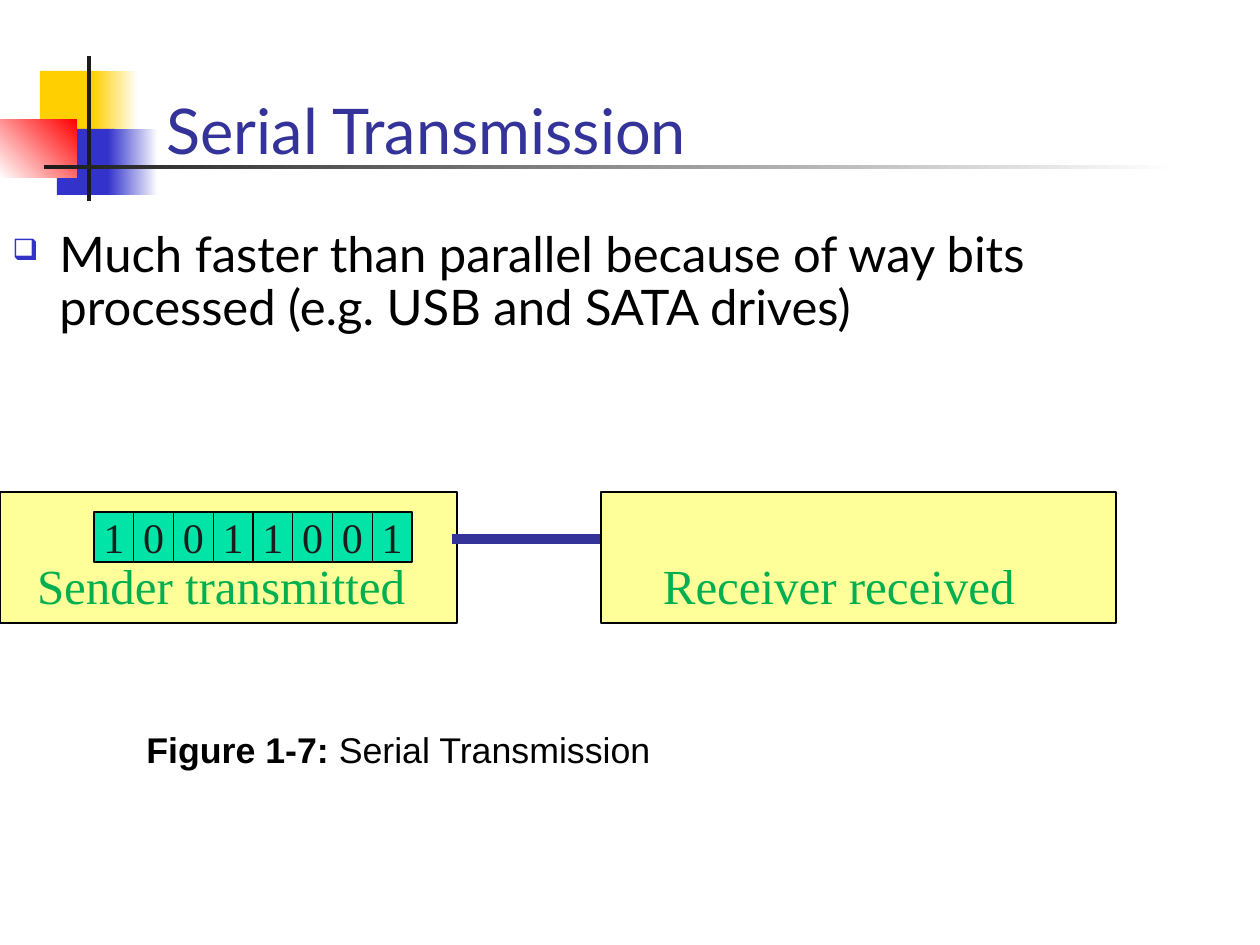
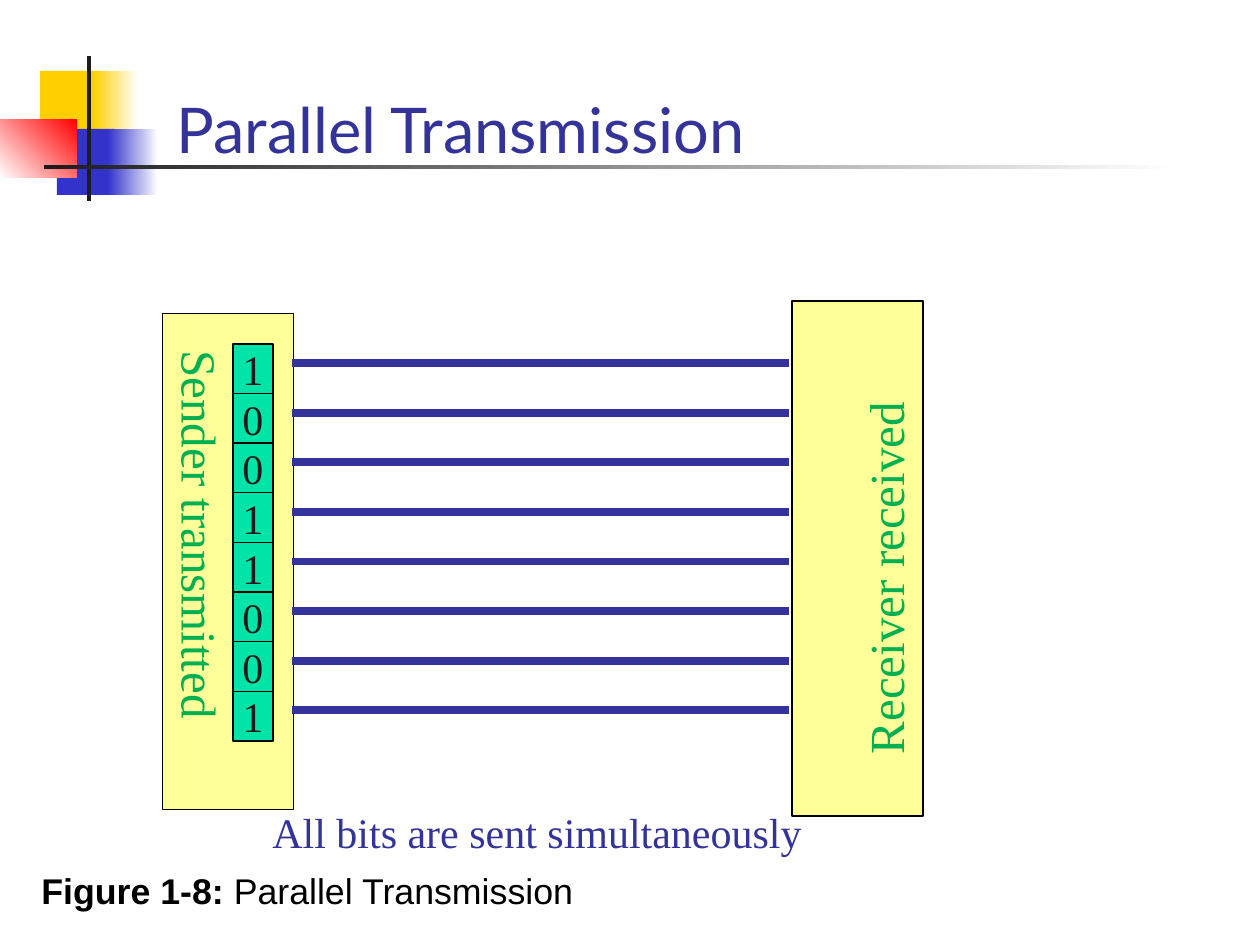
from lxml import etree
from pptx import Presentation
from pptx import util as u
from pptx.dml import color
from pptx.enum import shapes, text
from pptx.oxml import ns

EMU_PER_PX = 914400 / 126
TITLE_ONLY = 5
NAVY, BLUE, YELLOW, RED = "333399", "3333CC", "FFCF01", "FF0000"
WHITE, BLACK, INK = "FFFFFF", "000000", "1C1C1C"
STATION, STATION_TEXT, BIT = "FFFF99", "00B050", "00E4A8"
SERIF, SANS, HEADING = "Times New Roman", "Arial", "Lato"
BITS = "10011001"
ACROSS, DOWN = (1, 0), (0, 1)


def px(length):
    return u.Emu(round(length * EMU_PER_PX))


def rgb(value):
    return color.RGBColor.from_string(value)


def style(paragraph, name, size, colour):
    paragraph.font.name = name
    paragraph.font.size = u.Pt(size)
    paragraph.font.color.rgb = rgb(colour)


def add_rect(slide, box, fill, outline=None):
    shape = slide.shapes.add_shape(shapes.MSO_SHAPE.RECTANGLE, *map(px, box))
    shape.shadow.inherit = False
    shape.fill.solid()
    shape.fill.fore_color.rgb = rgb(fill)
    if outline:
        shape.line.color.rgb = rgb(outline)
        shape.line.width = u.Pt(0.75)
    else:
        shape.line.fill.background()
    return shape


def add_fade(slide, box, start, end, angle=0):
    fill = add_rect(slide, box, start).fill
    fill.gradient()
    fill.gradient_angle = angle
    for stop, colour, position in zip(fill.gradient_stops, (start, end), (0, 1)):
        stop.color.rgb = rgb(colour)
        stop.position = position


def add_text(slide, box):
    frame = slide.shapes.add_textbox(*map(px, box)).text_frame
    frame.word_wrap = True
    return frame.paragraphs[0]


def add_wire(slide, left, right, y, width):
    wire = slide.shapes.add_connector(
        shapes.MSO_CONNECTOR.STRAIGHT, px(left), px(y), px(right), px(y))
    wire.line.color.rgb = rgb(NAVY)
    wire.line.width = u.Pt(width)
    etree.SubElement(wire.element.spPr, ns.qn("a:effectLst"))


def add_ornament(slide):
    add_rect(slide, (40, 71, 61, 66), YELLOW)
    add_fade(slide, (93, 71, 45, 66), YELLOW, WHITE)
    add_rect(slide, (57, 129, 58, 66), BLUE)
    add_fade(slide, (108, 129, 50, 66), BLUE, WHITE)
    add_fade(slide, (0, 119, 77, 59), WHITE, RED, 45)
    add_rect(slide, (87, 56, 4, 145), INK)
    add_fade(slide, (44, 165, 1134, 4), INK, WHITE)


def add_titled_slide(presentation, title, left, top):
    slide = presentation.slides.add_slide(presentation.slide_layouts[TITLE_ONLY])
    add_ornament(slide)
    shape = slide.shapes.title
    shape.left, shape.top, shape.width, shape.height = map(px, (left, top, 1071, 105))
    frame = shape.text_frame
    frame.text = title
    frame.auto_size = text.MSO_AUTO_SIZE.NONE
    frame.vertical_anchor = text.MSO_ANCHOR.BOTTOM
    paragraph = frame.paragraphs[0]
    paragraph.alignment = text.PP_ALIGN.LEFT
    style(paragraph, HEADING, 36, NAVY)
    return slide


def add_station(slide, box, label, indent, rotation=0):
    shape = add_rect(slide, box, STATION, BLACK)
    shape.rotation = rotation
    frame = shape.text_frame
    frame.word_wrap = True
    frame.vertical_anchor = text.MSO_ANCHOR.TOP
    frame.margin_left, frame.margin_top = px(indent), px(63)
    paragraph = frame.paragraphs[0]
    paragraph.text = label
    paragraph.alignment = text.PP_ALIGN.LEFT
    style(paragraph, SERIF, 28, STATION_TEXT)


def add_sender(slide, box, rotation=0):
    add_station(slide, box, "Sender transmitted", 37, rotation)


def add_receiver(slide, box, rotation=0):
    add_station(slide, box, "Receiver received", 62, rotation)


def add_bits(slide, box, direction):
    left, top, width, height = box
    step_x, step_y = (size / len(BITS) * way for size, way in zip((width, height), direction))
    for index, bit in enumerate(BITS):
        cell = (left + index * step_x, top + index * step_y, step_x or width, step_y or height)
        frame = add_rect(slide, cell, BIT, BLACK).text_frame
        frame.word_wrap = False
        frame.vertical_anchor = text.MSO_ANCHOR.MIDDLE
        paragraph = frame.paragraphs[0]
        paragraph.text = bit
        paragraph.alignment = text.PP_ALIGN.CENTER
        style(paragraph, SERIF, 24, INK)


def add_bullet(slide, box, words):
    paragraph = add_text(slide, box)
    paragraph.text = words
    paragraph.line_spacing = 0.9
    properties = paragraph._p.get_or_add_pPr()
    properties.set("marL", str(px(47)))
    properties.set("indent", str(-px(47)))
    bullet_colour = etree.SubElement(properties, ns.qn("a:buClr"))
    etree.SubElement(bullet_colour, ns.qn("a:srgbClr"), val=BLUE)
    etree.SubElement(properties, ns.qn("a:buSzPct"), val="60000")
    etree.SubElement(properties, ns.qn("a:buChar"), char="❑")
    style(paragraph, HEADING, 28, BLACK)


def add_caption(slide, box, number, words):
    paragraph = add_text(slide, box)
    paragraph.line_spacing = 0.9
    style(paragraph, SANS, 20.4, BLACK)
    lead = paragraph.add_run()
    lead.text = number
    lead.font.bold = True
    paragraph.add_run().text = " " + words


def build_serial(presentation):
    slide = add_titled_slide(presentation, "Serial Transmission", 154, 68)
    add_sender(slide, (0, 492, 457, 131))
    add_bullet(slide, (0, 224, 1166, 289),
               "Much faster than parallel because of way bits processed (e.g. USB and SATA drives)")
    add_wire(slide, 452, 601, 539, 6)
    add_receiver(slide, (601, 492, 515, 131))
    add_bits(slide, (94, 512, 318, 50), ACROSS)
    add_caption(slide, (134, 726, 735, 55), "Figure 1-7:", "Serial Transmission")


def build_parallel(presentation):
    slide = add_titled_slide(presentation, "Parallel Transmission", 164, 67)
    add_receiver(slide, (600, 493, 515, 131), 270)
    add_sender(slide, (-20, 496, 496, 131), 90)
    note = add_text(slide, (260, 800, 757, 63))
    note.text = "All bits are sent simultaneously"
    style(note, SERIF, 24, NAVY)
    bits_top, bits_height = 344, 397
    for index in range(len(BITS)):
        add_wire(slide, 292, 789, bits_top + 19 + index * bits_height / len(BITS), 4.5)
    add_bits(slide, (233, bits_top, 40, bits_height), DOWN)
    add_caption(slide, (29, 867, 1217, 55), "Figure 1-8:", "Parallel Transmission")


def main():
    presentation = Presentation()
    presentation.slide_width, presentation.slide_height = px(1260), px(945)
    build_serial(presentation)
    build_parallel(presentation)
    presentation.save("out.pptx")


if __name__ == "__main__":
    main()
